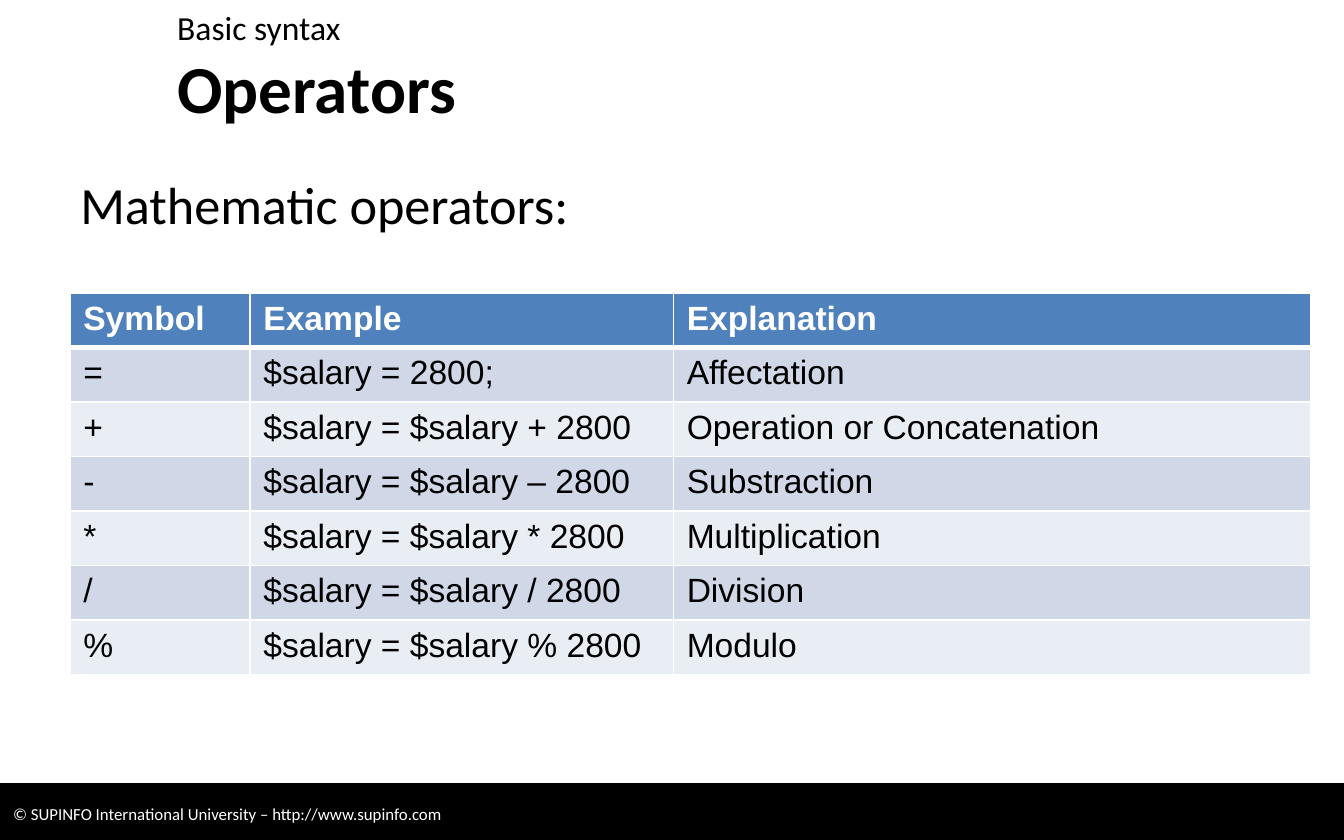
"""Build the slide on mathematic operators."""
from lxml import etree
from pptx import Presentation
from pptx.dml.color import RGBColor
from pptx.enum import shapes, text
from pptx.oxml import ns
from pptx.util import Inches, Pt

BLACK = RGBColor(0x00, 0x00, 0x00)
WHITE = RGBColor(0xFF, 0xFF, 0xFF)
HEADER_BLUE = RGBColor(0x4F, 0x81, 0xBD)
BAND_DARK = RGBColor(0xD0, 0xD8, 0xE8)
BAND_LIGHT = RGBColor(0xE9, 0xED, 0xF4)


def write(frame, words, color, **formats):
    paragraph = frame.paragraphs[0]
    paragraph.alignment = text.PP_ALIGN.LEFT
    run = paragraph.add_run()
    run.text = words
    run.font.color.rgb = color
    for name, value in formats.items():
        setattr(run.font, name, value)


def add_border(cell, side, points):
    properties = cell._tc.get_or_add_tcPr()
    line = etree.SubElement(properties, ns.qn(f"a:ln{side}"), w=str(Pt(points)))
    fill = etree.SubElement(line, ns.qn("a:solidFill"))
    etree.SubElement(fill, ns.qn("a:srgbClr"), val=str(WHITE))


deck = Presentation()
deck.slide_width, deck.slide_height = Inches(10), Inches(6.25)
slide = deck.slides.add_slide(deck.slide_layouts[6])

footer = slide.shapes.add_shape(
    shapes.MSO_SHAPE.RECTANGLE, Inches(0), Inches(5.83), Inches(10), Inches(0.45))
footer.shadow.inherit = False
footer.fill.solid()
footer.fill.fore_color.rgb = BLACK
footer.line.color.rgb = BLACK
footer.line.width = Pt(0.75)
footer.text_frame.vertical_anchor = text.MSO_ANCHOR.MIDDLE
write(footer.text_frame, "© SUPINFO International University – http://www.supinfo.com",
      WHITE, name="Calibri", size=Pt(9))

TOP, MIDDLE = text.MSO_ANCHOR.TOP, text.MSO_ANCHOR.MIDDLE
headings = [
    ("Operators", (1.22, 0.37, 8.51, 0.55), 36, True, MIDDLE),
    ("Basic syntax", (1.22, 0, 8.51, 0.37), 18, False, TOP),
    ("Mathematic operators:", (0.5, 1.23, 9.23, 0.6), 28, False, TOP),
]
for words, place, size, bold, anchor in headings:
    frame = slide.shapes.add_textbox(*map(Inches, place)).text_frame
    frame.word_wrap = True
    frame.vertical_anchor = anchor
    write(frame, words, BLACK, name="Calibri", size=Pt(size), bold=bold)

operators = [
    ("Symbol", "Example", "Explanation"),
    ("=", "$salary = 2800;", "Affectation"),
    ("+", "$salary = $salary + 2800", "Operation or Concatenation"),
    ("-", "$salary = $salary – 2800", "Substraction"),
    ("*", "$salary = $salary * 2800", "Multiplication"),
    ("/", "$salary = $salary / 2800", "Division"),
    ("%", "$salary = $salary % 2800", "Modulo"),
]
table = slide.shapes.add_table(
    len(operators), 3, Inches(0.52), Inches(2.18), Inches(9.23), Inches(2.84)).table
for column, width in zip(table.columns, (1.34, 3.15, 4.74)):
    column.width = Inches(width)

for row, entries in enumerate(operators):
    header = row == 0
    band = HEADER_BLUE if header else (BAND_LIGHT, BAND_DARK)[row % 2]
    for column, entry in enumerate(entries):
        cell = table.cell(row, column)
        for side in "LRTB":
            thick = (header and side == "B") or (row == 1 and side == "T")
            add_border(cell, side, 3 if thick else 1)
        cell.fill.solid()
        cell.fill.fore_color.rgb = band
        write(cell.text_frame, entry, WHITE if header else BLACK,
              name="Arial", size=Pt(18), bold=header)

deck.save("out.pptx")
